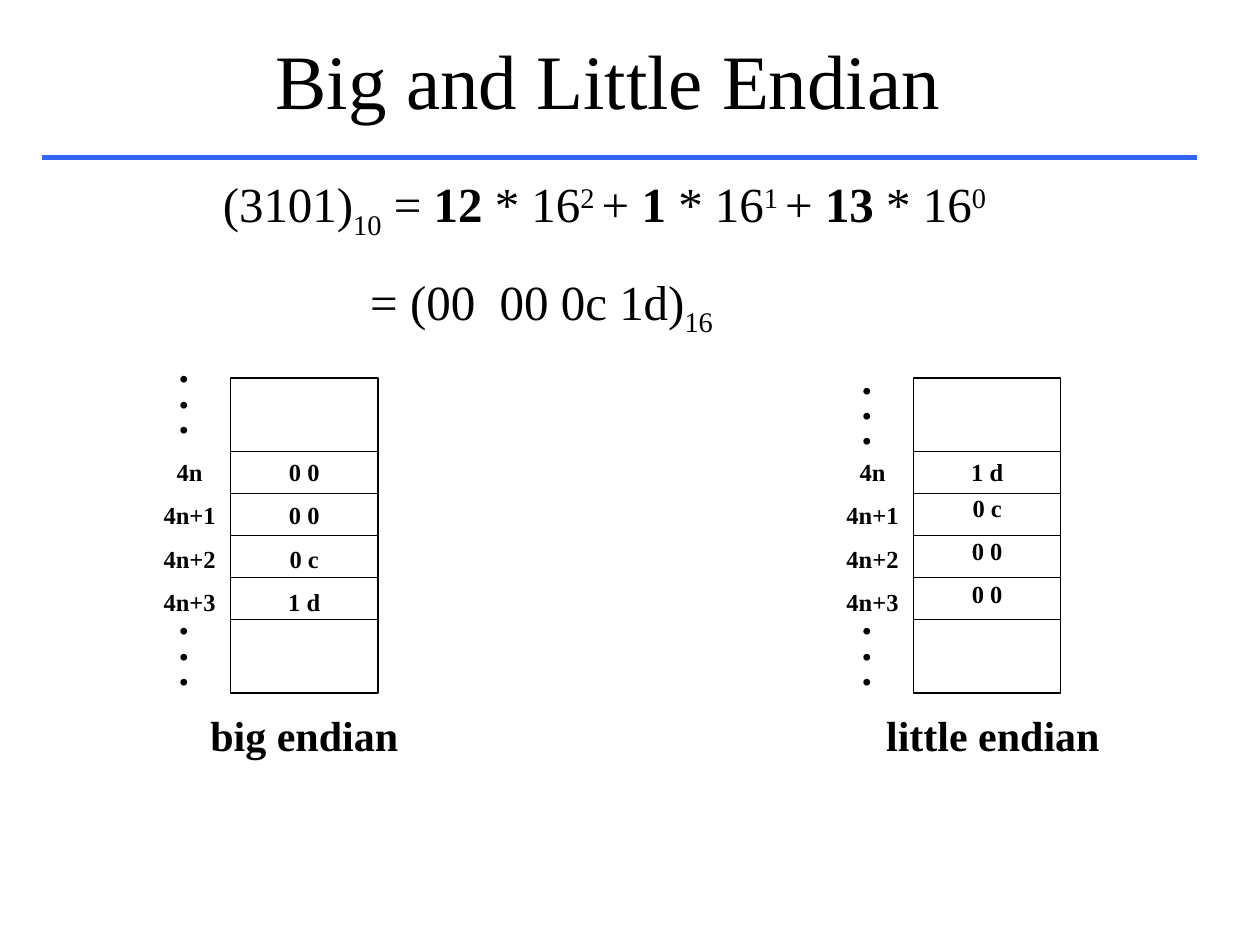
from pptx import Presentation
from pptx.dml.color import RGBColor
from pptx.enum.shapes import MSO_CONNECTOR, MSO_SHAPE
from pptx.enum.text import MSO_ANCHOR, MSO_AUTO_SIZE, PP_ALIGN
from pptx.oxml.ns import qn
from pptx.util import Inches, Pt

STRAIGHT = MSO_CONNECTOR.STRAIGHT
RECTANGLE = MSO_SHAPE.RECTANGLE
LEFT, CENTER = PP_ALIGN.LEFT, PP_ALIGN.CENTER
TOP, MIDDLE = MSO_ANCHOR.TOP, MSO_ANCHOR.MIDDLE
GROW, FIXED = MSO_AUTO_SIZE.SHAPE_TO_FIT_TEXT, MSO_AUTO_SIZE.NONE

FONT = "Times New Roman"
COLORS = {"ink": "000000", "rule": "3366FF"}
BOLD = {"bold": True}
SUB = {"baseline": -25}
SUP = {"baseline": 30}
ADDRESSES = ["4n", "4n+1", "4n+2", "4n+3"]


def rgb(name):
    return RGBColor.from_string(COLORS[name])


def add_run(p, text, size, bold=False, baseline=0):
    r = p.add_run()
    r.text = text
    r.font.name = FONT
    r.font.size = Pt(size)
    r.font.bold = bold
    r.font.color.rgb = rgb("ink")
    if baseline:
        r._r.get_or_add_rPr().set("baseline", str(baseline * 1000))


def add_text(s, box, paragraphs, size, bold=False, align=CENTER, anchor=TOP,
             auto_size=GROW, gaps=(), line_spacing=None, indents=()):
    """Each paragraph is a string or a list of (text, run format) pairs.

    gaps holds the space before each paragraph after the first.
    """
    tb = s.shapes.add_textbox(*map(Inches, box))
    tf = tb.text_frame
    tf.word_wrap = True
    tf.auto_size = auto_size
    tf.vertical_anchor = anchor
    for i, content in enumerate(paragraphs):
        p = tf.add_paragraph() if i else tf.paragraphs[0]
        p.alignment = align
        if i and gaps:
            p.space_before = Pt(gaps[i - 1])
        if line_spacing:
            p.line_spacing = line_spacing
        if indents:
            p._p.get_or_add_pPr().set("marL", str(Inches(indents[i])))
        runs = [(content, {})] if isinstance(content, str) else content
        for text, style in runs:
            add_run(p, text, size, **{"bold": bold, **style})


def add_line(s, x1, x2, y, color, width):
    line = s.shapes.add_connector(STRAIGHT, Inches(x1), Inches(y),
                                  Inches(x2), Inches(y))
    line.line.color.rgb = rgb(color)
    line.line.width = Pt(width)
    sp_pr = line._element.spPr
    sp_pr.append(sp_pr.makeelement(qn("a:effectLst"), {}))
    return line


def add_title(s, x, y, w, h):
    add_text(s, (x, y, w, h), ["Big and Little Endian"], 44,
             anchor=MIDDLE, auto_size=FIXED)
    add_line(s, 0.33, 9.5, y + h, "rule", 3)


def add_conversion(s, x, y, w, h):
    decimal = [
        ("(3101)", {}), ("10", SUB), (" = ", {}),
        ("12 ", BOLD), ("* 16", {}), ("2 ", SUP), ("+ ", {}),
        ("1 ", BOLD), ("* 16", {}), ("1 ", SUP), ("+ ", {}),
        ("13 ", BOLD), ("* 16", {}), ("0", SUP),
    ]
    hexadecimal = [("= (00  00 0c 1d)", {}), ("16", SUB)]
    add_text(s, (x, y, w, h), [decimal, hexadecimal], 28, align=LEFT,
             gaps=[17.5], indents=[0, 1.17])


def add_memory(s, x, y, w, h, values, caption, caption_w, dots_dy, value_gaps):
    """Memory column with its addresses on the left and a caption below."""
    column = s.shapes.add_shape(RECTANGLE, *map(Inches, (x, y, w, h)))
    column.shadow.inherit = False
    column.fill.background()
    column.line.color.rgb = rgb("ink")
    column.line.width = Pt(0.75)

    for step in range(-2, 3):
        divider = add_line(s, x, x + w, y + h / 2 + step / 3, "ink", 0.75)
        if step == 0:
            divider.begin_connect(column, 1)
            divider.end_connect(column, 3)

    label_x, cells_y = x - 0.66, y + 0.58
    add_text(s, (label_x, cells_y, 0.67, 1.36), ADDRESSES, 14, bold=True,
             gaps=[7.9] * 3)
    for dots_y in (y + dots_dy, y + 1.83):
        add_text(s, (label_x, dots_y, 0.58, 0.7), ["."] * 3, 24, bold=True,
                 line_spacing=0.5)
    add_text(s, (x + 0.25, cells_y, 0.67, 1.36), values, 14, bold=True,
             gaps=value_gaps)
    add_text(s, (x - 0.33, y + h + 0.08, caption_w, 0.5), [caption], 24,
             bold=True)


def main():
    prs = Presentation()
    prs.slide_width, prs.slide_height = Inches(10), Inches(7.5)
    s = prs.slides.add_slide(prs.slide_layouts[6])
    add_title(s, 0.58, 0, 8.5, 1.25)
    add_conversion(s, 1.67, 1.33, 6.5, 1.41)
    add_memory(s, 1.83, 3, 1.17, 2.5, ["0 0", "0 0", "0 c", "1 d"],
               "big endian", 1.83, -0.17, [7.9, 7.9, 7.9])
    add_memory(s, 7.25, 3, 1.17, 2.5, ["1 d", "0 c", "0 0", "0 0"],
               "little endian", 1.92, -0.08, [3.5, 7.9, 7.9])
    prs.save("out.pptx")


if __name__ == "__main__":
    main()
